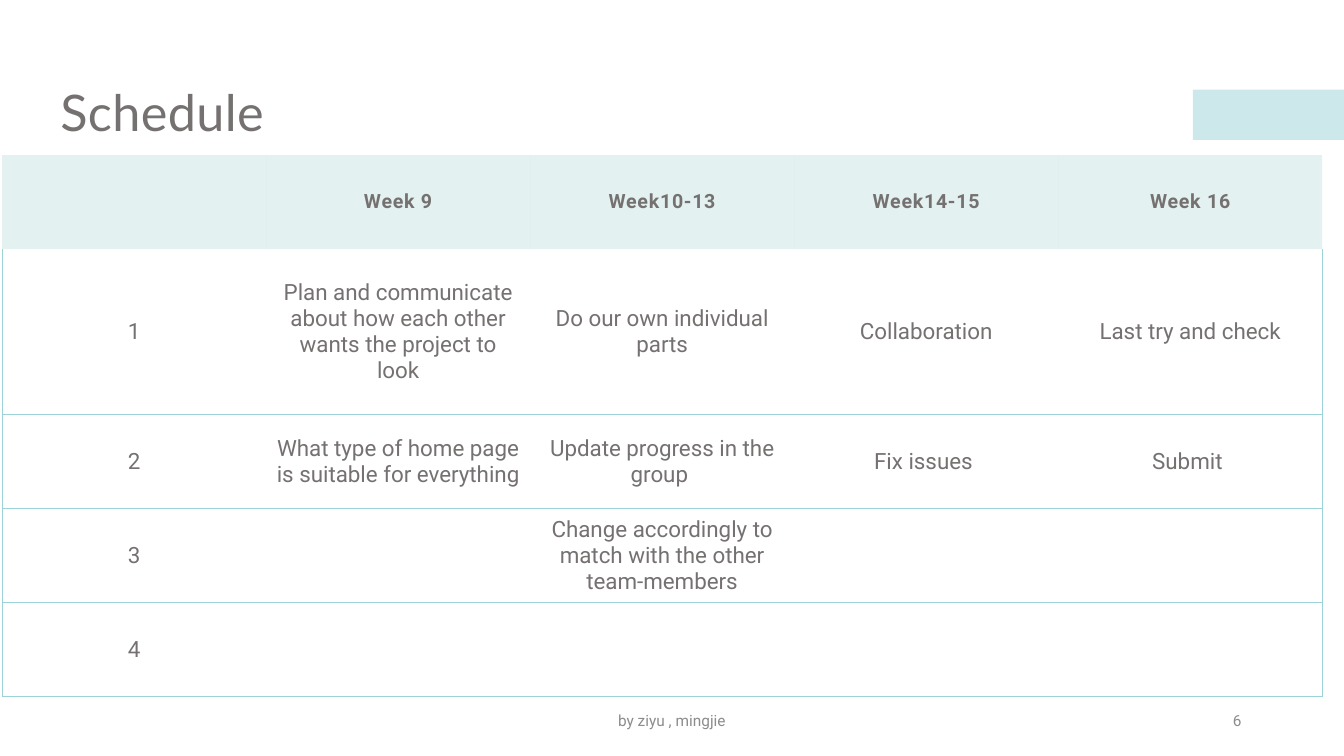
from lxml import etree
from pptx import Presentation, util as u
from pptx.dml import color
from pptx.enum import shapes, text
from pptx.oxml import ns

theme = {
    "accent": "9CD3D9",
    "header": "76BCBC",
    "title": {"name": "Lato", "size": 36, "color": "767171", "bold": False, "spacing": 30},
    "heading": {"name": "Roboto", "size": 14, "color": "767171", "bold": True, "spacing": 50},
    "number": {"name": "Roboto", "size": 16, "color": "767171", "bold": False, "spacing": 20},
    "body": {"name": "Roboto", "size": 16, "color": "767171", "bold": False, "spacing": 0},
    "footer": {"name": "Roboto", "size": 11, "color": "8C8C8C", "bold": False, "spacing": 0},
}


def tint(fill, rgb, percent):
    fill.solid()
    fill.fore_color.rgb = color.RGBColor.from_string(rgb)
    tone = fill._xPr.find(ns.qn("a:solidFill"))[0]
    etree.SubElement(tone, ns.qn("a:alpha"), val=str(percent * 1000))


def write(frame, words, style, align):
    para = frame.paragraphs[0]
    para.alignment = align
    span = para.add_run()
    span.text = words
    look = theme[style]
    values = {"name": look["name"], "size": u.Pt(look["size"]), "bold": look["bold"]}
    for key, value in values.items():
        setattr(span.font, key, value)
    span.font.color.rgb = color.RGBColor.from_string(look["color"])
    span._r.get_or_add_rPr().set("spc", str(look["spacing"]))


deck = Presentation()
deck.slide_width, deck.slide_height = u.Pt(960), u.Pt(540)
page = deck.slides.add_slide(deck.slide_layouts[6])

band = page.shapes.add_shape(
    shapes.MSO_SHAPE.RECTANGLE, u.Pt(852), u.Pt(64), u.Pt(108), u.Pt(36))
band.shadow.inherit = False
band.line.fill.background()
tint(band.fill, theme["accent"], 50)

LEFT, CENTER, RIGHT = text.PP_ALIGN.LEFT, text.PP_ALIGN.CENTER, text.PP_ALIGN.RIGHT
labels = [
    ("Schedule", "title", LEFT, (36, 30, 888, 104.4)),
    ("by ziyu , mingjie", "footer", CENTER, (318, 500.4, 324, 28.8)),
    ("6", "footer", RIGHT, (678, 500.4, 216, 28.8)),
]
for words, style, align, place in labels:
    box = page.shapes.add_textbox(*map(u.Pt, place))
    box.text_frame.word_wrap = True
    box.text_frame.vertical_anchor = text.MSO_ANCHOR.MIDDLE
    write(box.text_frame, words, style, align)
    if style == "title":
        box.text_frame.paragraphs[0].line_spacing = 0.9

rows = [
    ["", "Week 9", "Week10-13", "Week14-15", "Week 16"],
    ["1", "Plan and communicate about how each other wants the project to look",
     "Do our own individual parts", "Collaboration", "Last try and check"],
    ["2", "What type of home page is suitable for everything ",
     "Update progress in the group ", "Fix issues ", "Submit "],
    ["3", "", "Change accordingly to match with the other team-members", "", ""],
    ["4", "", "", "", ""],
]
heights = [67.2, 118.2, 67.2, 67.2, 67.2]
column_width = 188.6
last = len(rows[0]) - 1

table = page.shapes.add_table(
    len(rows), len(rows[0]), u.Pt(1.5), u.Pt(110.8),
    u.Pt(column_width * len(rows[0])), u.Pt(sum(heights))).table
table.first_row = table.horz_banding = False
no_grid = "{2D5ABB26-0587-4C30-8999-92F81FD0307C}"
table._tbl.tblPr.find(ns.qn("a:tableStyleId")).text = no_grid
for column in table.columns:
    column.width = u.Pt(column_width)

for r, (entries, height) in enumerate(zip(rows, heights)):
    table.rows[r].height = u.Pt(height)
    for c, words in enumerate(entries):
        cell = table.cell(r, c)
        cell.vertical_anchor = text.MSO_ANCHOR.MIDDLE
        if words:
            style = "heading" if r == 0 else "number" if c == 0 else "body"
            write(cell.text_frame, words, style, CENTER)
        if r == 0:
            tint(cell.fill, theme["header"], 20)
            continue
        borders = {"lnL": c == 0, "lnR": c == last, "lnT": r > 1, "lnB": True}
        for side in (name for name, drawn in borders.items() if drawn):
            edge = etree.SubElement(cell._tc.get_or_add_tcPr(), ns.qn(f"a:{side}"), w=str(u.Pt(0.5)))
            paint = etree.SubElement(edge, ns.qn("a:solidFill"))
            etree.SubElement(paint, ns.qn("a:srgbClr"), val=theme["accent"])
        cell.fill.background()

deck.save("out.pptx")
